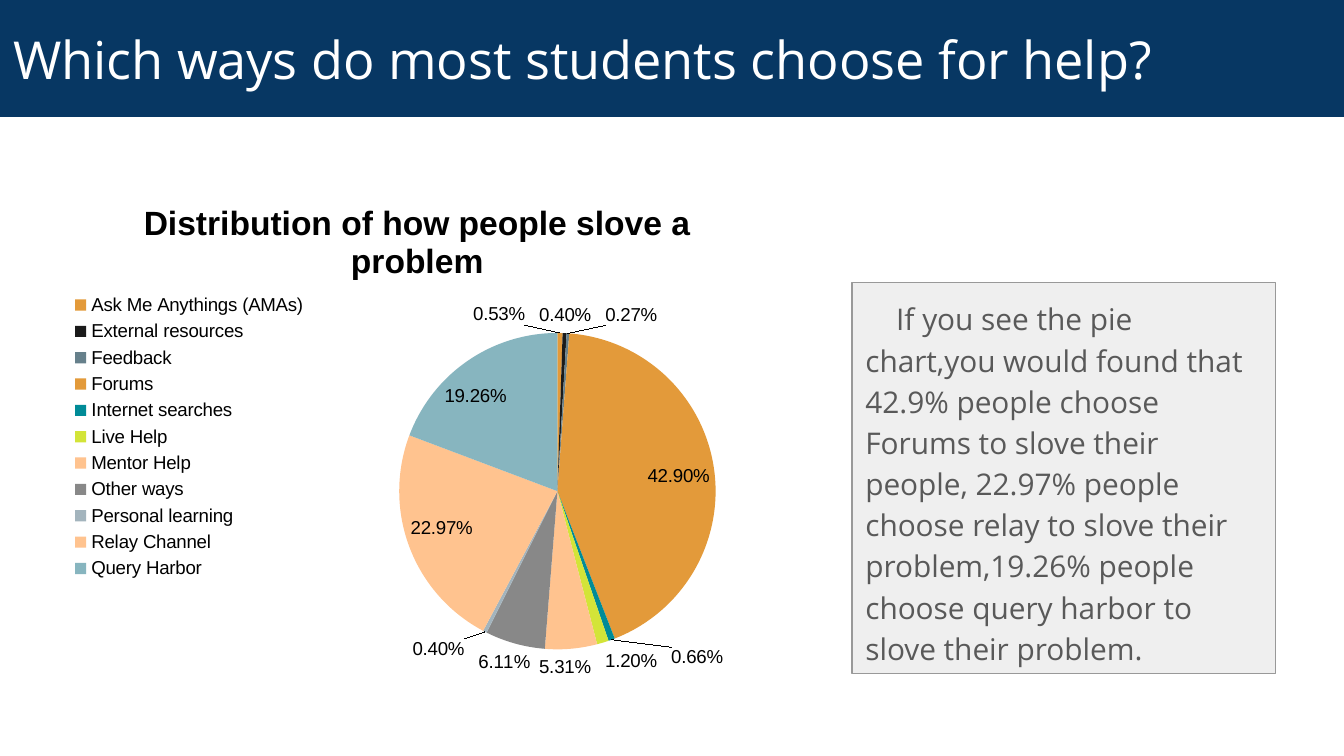
from lxml.etree import SubElement
from pptx import Presentation
from pptx.chart.data import CategoryChartData
from pptx.dml.color import RGBColor
from pptx.enum.chart import XL_CHART_TYPE, XL_LABEL_POSITION, XL_LEGEND_POSITION
from pptx.enum.shapes import MSO_SHAPE
from pptx.enum.text import MSO_ANCHOR, PP_ALIGN
from pptx.oxml.ns import qn
from pptx.util import Inches, Pt

COLORS = {
    "navy": "073763", "white": "FFFFFF", "panel": "EFEFEF", "border": "999999",
    "body": "595959", "black": "000000", "orange": "E39A3A", "charcoal": "1A1A1A",
    "slate": "66808B", "teal": "008B97", "lime": "D3E438", "peach": "FFC38F",
    "gray": "888888", "mist": "A3B4BD", "sky": "87B5BF",
}
TITLE = "Which ways do most students choose for help?"
BODY = (
    "If you see the pie chart,you would found that 42.9% people choose Forums "
    "to slove their people, 22.97% people choose relay to slove their "
    "problem,19.26% people choose query harbor to slove their problem."
)
CHART_TITLE = "Distribution of how people slove a problem"
WAYS = [
    ("Ask Me Anythings (AMAs)", 0.0053, "orange"),
    ("External resources", 0.0040, "charcoal"),
    ("Feedback", 0.0027, "slate"),
    ("Forums", 0.4290, "orange"),
    ("Internet searches", 0.0066, "teal"),
    ("Live Help", 0.0120, "lime"),
    ("Mentor Help", 0.0531, "peach"),
    ("Other ways", 0.0611, "gray"),
    ("Personal learning", 0.0040, "mist"),
    ("Relay Channel", 0.2297, "peach"),
    ("Query Harbor", 0.1926, "sky"),
]
PIE_LAYOUT = {"x": 0.47, "y": 0.3, "w": 0.45, "h": 0.61}


def color(name):
    """Return the named colour."""
    return RGBColor.from_string(COLORS[name])


def add_panel(slide, box, fill, text, size, text_color, anchor):
    """Add a filled rectangle with one left-aligned paragraph; return both."""
    shape = slide.shapes.add_shape(MSO_SHAPE.RECTANGLE, *map(Inches, box))
    shape.shadow.inherit = False
    shape.fill.solid()
    shape.fill.fore_color.rgb = color(fill)
    shape.line.fill.background()
    frame = shape.text_frame
    frame.word_wrap = True
    frame.vertical_anchor = anchor
    frame.margin_left = frame.margin_right = Inches(0.1)
    frame.margin_top = frame.margin_bottom = Inches(0.1)
    paragraph = frame.paragraphs[0]
    paragraph.text = text
    paragraph.alignment = PP_ALIGN.LEFT
    paragraph.font.name = "Open Sans"
    paragraph.font.size = Pt(size)
    paragraph.font.color.rgb = color(text_color)
    return shape, paragraph


def place_pie(chart):
    """Fix the inner plot area at fractions of the chart frame."""
    plot_area = chart.plots[0]._element.getparent()
    layout = plot_area.find(qn("c:layout"))
    if layout is None:
        layout = plot_area.makeelement(qn("c:layout"))
        plot_area.insert(0, layout)
    manual = SubElement(layout, qn("c:manualLayout"))
    settings = {"layoutTarget": "inner", "xMode": "edge", "yMode": "edge", **PIE_LAYOUT}
    for tag, value in settings.items():
        SubElement(manual, qn(f"c:{tag}")).set("val", str(value))


def add_pie(slide, box):
    """Add the pie chart with its title, legend and labels."""
    data = CategoryChartData(number_format="0.00%")
    data.categories = [name for name, _, _ in WAYS]
    data.add_series("Series 1", [value for _, value, _ in WAYS])
    chart = slide.shapes.add_chart(XL_CHART_TYPE.PIE, *map(Inches, box), data).chart
    chart.font.name = "Arial"
    chart.font.size = Pt(10)
    chart.font.color.rgb = color("black")

    chart.has_title = True
    heading = chart.chart_title.text_frame.paragraphs[0]
    heading.text = CHART_TITLE
    heading.font.name = "Arial"
    heading.font.size = Pt(18)
    heading.font.bold = True
    heading.font.color.rgb = color("black")

    chart.has_legend = True
    chart.legend.position = XL_LEGEND_POSITION.LEFT
    chart.legend.include_in_layout = False

    plot = chart.plots[0]
    plot.vary_by_categories = True
    plot.has_data_labels = True
    labels = plot.data_labels
    labels.show_value = True
    labels.show_percentage = False
    labels.number_format = "0.00%"
    labels.number_format_is_linked = False
    labels.position = XL_LABEL_POSITION.BEST_FIT
    for index, (_, _, fill) in enumerate(WAYS):
        slice_fill = plot.series[0].points[index].format.fill
        slice_fill.solid()
        slice_fill.fore_color.rgb = color(fill)
    place_pie(chart)


presentation = Presentation()
presentation.slide_width = Inches(10)
presentation.slide_height = Inches(10) * 9 // 16
slide = presentation.slides.add_slide(presentation.slide_layouts[6])

note, note_paragraph = add_panel(
    slide, (6.34, 2.1, 3.15, 2.91), "panel", BODY, 16, "body", MSO_ANCHOR.TOP)
note.line.color.rgb = color("border")
note.line.width = Pt(0.75)
note_paragraph.line_spacing = 1.15
note_paragraph.space_after = Pt(16)
note_paragraph._p.get_or_add_pPr().set("indent", str(Inches(0.23)))

add_panel(slide, (0, 0, 10, 0.87), "navy", TITLE, 28, "white", MSO_ANCHOR.MIDDLE)
add_pie(slide, (0.43, 1.32, 5.35, 3.86))
presentation.save("out.pptx")
